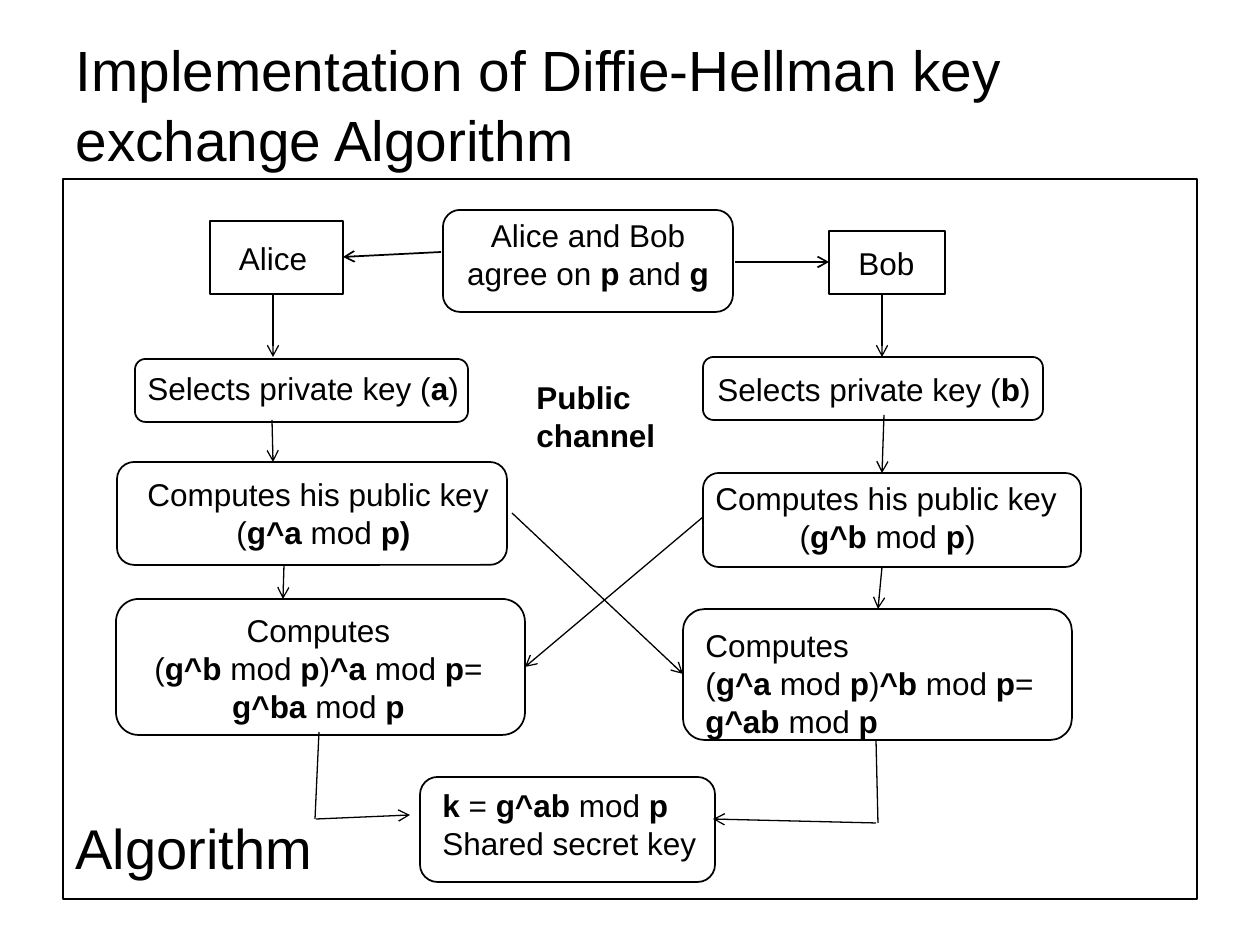
import pptx
import pptx.util
import pptx.dml.color
import pptx.enum.shapes
import pptx.enum.text
import pptx.oxml
import pptx.oxml.ns

PX = 914400 / 126
BLACK = pptx.dml.color.RGBColor(0, 0, 0)
WHITE = pptx.dml.color.RGBColor(255, 255, 255)
SHAPE = pptx.enum.shapes.MSO_SHAPE
LEFT = pptx.enum.text.PP_ALIGN.LEFT
CENTER = pptx.enum.text.PP_ALIGN.CENTER
ANCHOR = pptx.enum.text.MSO_ANCHOR


def px(*lengths):
    return [pptx.util.Emu(round(length * PX)) for length in lengths]


def write(frame, lines, size):
    frame.word_wrap = True
    for index, (align, text) in enumerate(lines):
        para = frame.paragraphs[0] if index == 0 else frame.add_paragraph()
        para.alignment = align
        for part, words in enumerate(text.split("*")):
            if words:
                span = para.add_run()
                span.text = words
                span.font.name = "Arial"
                span.font.size = pptx.util.Pt(size)
                span.font.bold = part % 2 == 1
                span.font.color.rgb = BLACK


deck = pptx.Presentation()
deck.slide_width, deck.slide_height = px(1260, 945)
page = deck.slides.add_slide(deck.slide_layouts[1])

title = page.shapes.title
title.left, title.top, title.width, title.height = px(63, 31, 1134, 143)
write(title.text_frame, [(LEFT, "Implementation of Diffie-Hellman key exchange Algorithm")], 32.4)
title.text_frame.vertical_anchor = ANCHOR.MIDDLE
title.text_frame.paragraphs[0].line_spacing = 1.04

body = page.placeholders[1]
body.left, body.top, body.width, body.height = px(63, 179, 1134, 720)
body.line.color.rgb = BLACK
body.line.width = pptx.util.Pt(1)
write(body.text_frame, [(LEFT, "Algorithm")], 32)
body.text_frame.vertical_anchor = ANCHOR.BOTTOM
body.text_frame.margin_bottom = px(18)[0]
properties = body.text_frame.paragraphs[0]._p.get_or_add_pPr()
properties.set("marL", "0")
properties.set("indent", "0")
properties.append(pptx.oxml.parse_xml(f'<a:buNone {pptx.oxml.ns.nsdecls("a")}/>'))

steps = [
    (SHAPE.ROUNDED_RECTANGLE, (443, 210, 290, 102), (451, 210, 274, 90),
     [(CENTER, "Alice and Bob agree on *p* and *g*")]),
    (SHAPE.RECTANGLE, (210, 221, 133, 73), (224, 233, 98, 50), [(CENTER, "Alice")]),
    (SHAPE.RECTANGLE, (829, 231, 116, 63), (839, 238, 95, 50), [(CENTER, "Bob")]),
    (SHAPE.ROUNDED_RECTANGLE, (135, 359, 333, 63), (135, 363, 341, 50),
     [(LEFT, "Selects private key (*a*)")]),
    (SHAPE.ROUNDED_RECTANGLE, (703, 357, 340, 63), (703, 364, 342, 50),
     [(CENTER, "Selects private key (*b*)")]),
    (SHAPE.ROUNDED_RECTANGLE, (117, 462, 390, 103), (135, 469, 377, 90),
     [(LEFT, "Computes his public key"), (CENTER, "(*g^a* mod *p)*")]),
    (SHAPE.ROUNDED_RECTANGLE, (703, 473, 378, 94), (703, 473, 378, 90),
     [(LEFT, "Computes his public key"), (CENTER, "(*g^b* mod *p*) ")]),
    (SHAPE.ROUNDED_RECTANGLE, (116, 599, 409, 136), (135, 605, 367, 127),
     [(CENTER, "Computes"), (CENTER, "(*g^b* mod *p*)*^a* mod *p*="), (CENTER, "*g^ba* mod *p*")]),
    (SHAPE.ROUNDED_RECTANGLE, (683, 609, 389, 131), (693, 620, 372, 127),
     [(LEFT, "Computes"), (LEFT, "(*g^a* mod *p*)*^b* mod *p*="), (LEFT, "*g^ab* mod *p*")]),
    (None, None, (524, 372, 150, 90), [(LEFT, "*Public channel*")]),
    (SHAPE.ROUNDED_RECTANGLE, (420, 777, 295, 105), (430, 780, 286, 90),
     [(LEFT, "*k* = *g^ab* mod *p*"), (LEFT, "Shared secret key")]),
]
for kind, outline, area, lines in steps:
    if kind is not None:
        shape = page.shapes.add_shape(kind, *px(*outline))
        shape.shadow.inherit = False
        shape.fill.solid()
        shape.fill.fore_color.rgb = WHITE
        shape.line.color.rgb = BLACK
        shape.line.width = pptx.util.Pt(1)
    box = page.shapes.add_textbox(*px(*area))
    write(box.text_frame, lines, 18)

links = [
    ((735, 262, 829, 262), 1, True),
    ((441, 252, 343, 257), 1, True),
    ((273, 294, 273, 357), 0.75, True),
    ((882, 294, 882, 357), 0.75, True),
    ((272, 420, 273, 462), 0.75, True),
    ((884, 415, 882, 473), 0.75, True),
    ((284, 565, 283, 599), 0.75, True),
    ((882, 567, 878, 609), 0.75, True),
    ((703, 517, 525, 667), 0.75, True),
    ((512, 513, 683, 674), 0.75, True),
    ((319, 732, 315, 819), 0.75, False),
    ((876, 740, 878, 823), 0.75, False),
    ((876, 823, 713, 819), 0.75, True),
    ((316, 819, 410, 815), 0.75, True),
]
for ends, weight, arrow in links:
    link = page.shapes.add_connector(pptx.enum.shapes.MSO_CONNECTOR.STRAIGHT, *px(*ends))
    link.line.color.rgb = BLACK
    link.line.width = pptx.util.Pt(weight)
    if arrow:
        link.line._get_or_add_ln().append(
            pptx.oxml.parse_xml(f'<a:tailEnd {pptx.oxml.ns.nsdecls("a")} type="arrow"/>'))
    link._element.spPr.append(pptx.oxml.parse_xml(f'<a:effectLst {pptx.oxml.ns.nsdecls("a")}/>'))

deck.save("out.pptx")
